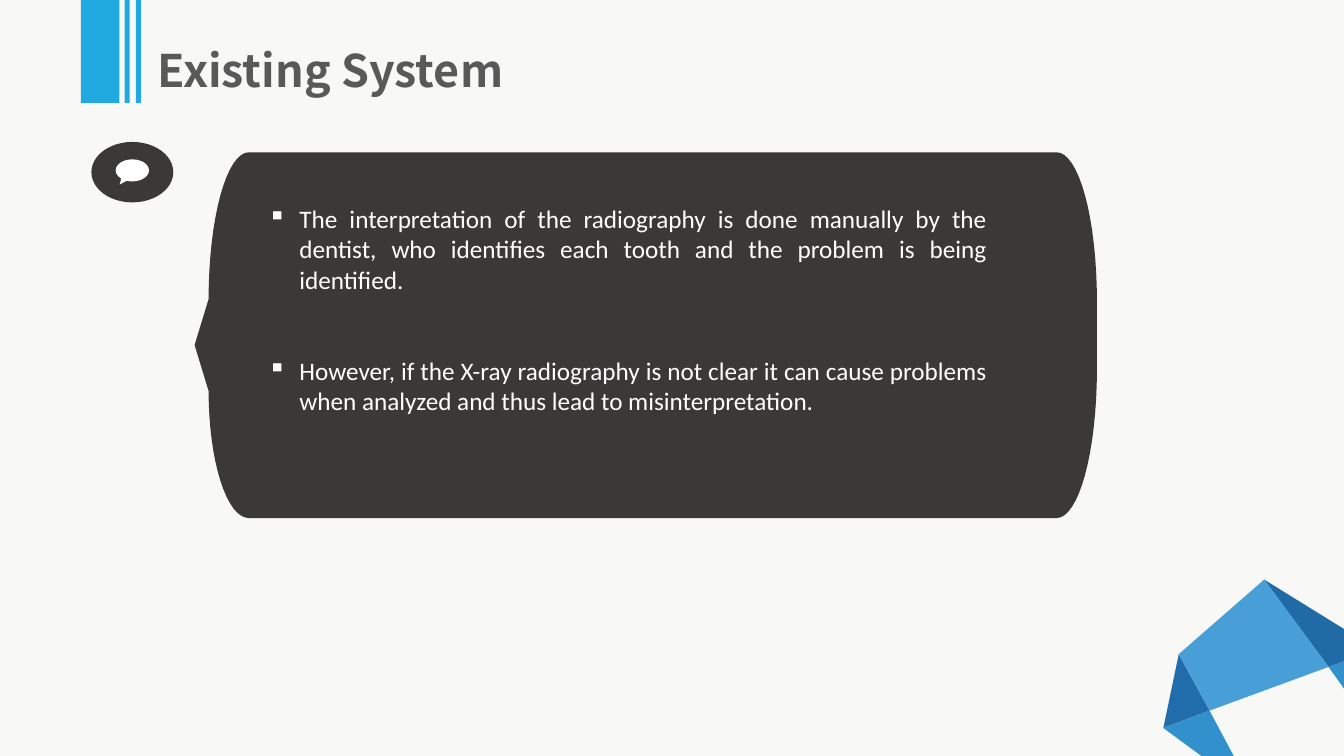
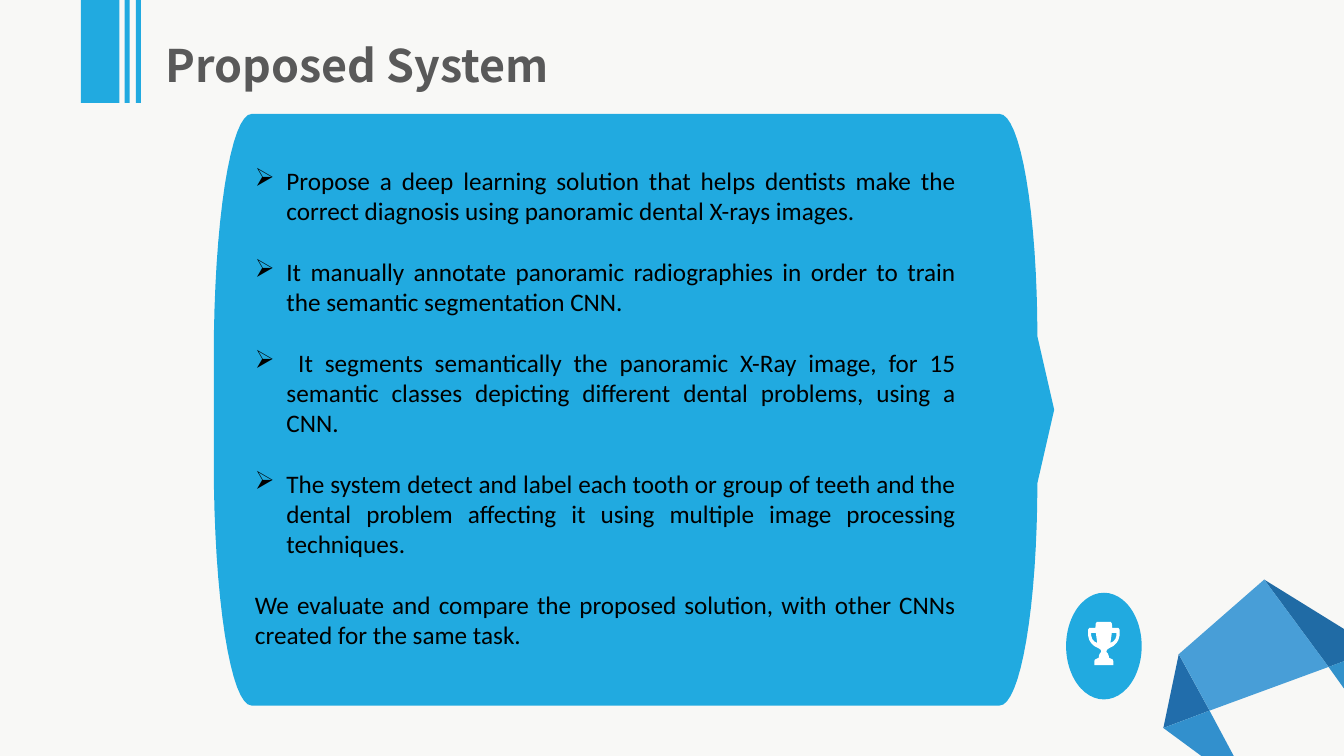
from math import cos, pi, sin

from lxml import etree
from pptx import Presentation
from pptx.dml.color import RGBColor
from pptx.enum.shapes import MSO_SHAPE
from pptx.enum.text import PP_ALIGN
from pptx.oxml.ns import qn
from pptx.util import Pt

RECT, OVAL = MSO_SHAPE.RECTANGLE, MSO_SHAPE.OVAL
BUBBLE = MSO_SHAPE.OVAL_CALLOUT
JUSTIFY = PP_ALIGN.JUSTIFY

PAPER = RGBColor(0xF8, 0xF8, 0xF6)
BLUE = RGBColor(0x21, 0xAA, 0xE0)
DARK = RGBColor(0x3B, 0x38, 0x38)
GREY = RGBColor(0x59, 0x59, 0x59)
WHITE = RGBColor(0xFF, 0xFF, 0xFF)
BLACK = RGBColor(0, 0, 0)

TITLE = {"name": "Noto Sans CJK SC", "size": Pt(32), "bold": True}
BODY = {"name": "Calibri", "size": Pt(18)}
HANG = Pt(22.5)

BARS = [(57.8, 27.4), (89, 3.6), (97, 3.6)]
BAR_H = 73.5

# Corners of the folded ribbon, then its facets
TIP, LEFT, FOLD = (831, 520), (842, 467.3), (864, 507.6)
PEAK, CROSS = (903, 414), (949, 476.4)
EDGE_A, EDGE_B, EDGE_C = (960, 449.3), (960, 472.3), (960, 491.8)
FOOT_A, FOOT_B = (881.3, 540), (858.2, 540)
FACETS = [
    (RGBColor(0x21, 0x6D, 0xAB), [TIP, LEFT, FOLD]),
    (RGBColor(0x20, 0x6B, 0xA5), [CROSS, PEAK, EDGE_A, EDGE_B]),
    (RGBColor(0x32, 0x90, 0xCD), [FOOT_A, FOOT_B, TIP, FOLD]),
    (RGBColor(0x48, 0x9E, 0xD7), [FOLD, LEFT, PEAK, CROSS]),
    (RGBColor(0x32, 0x91, 0xCA), [EDGE_C, CROSS, EDGE_B]),
]

# Right half of the trophy and its handle hole, in points from the top middle
CUP = [(5, 0), (5.8, 1.4), (6, 4.3), (10.4, 4.3), (11.2, 5.6), (11.2, 10),
       (10.4, 13), (9, 15.2), (6.8, 17.3), (4, 18.7), (2.2, 20), (1.8, 21.4),
       (2.9, 22.7), (3.6, 24.5), (3.6, 25.6), (5, 26.3), (6.4, 27),
       (6.8, 28.2), (6.8, 31)]
HOLE = [(5.7, 7.9), (9, 7.9), (9, 10), (8.3, 12.2), (6.8, 14), (4.7, 15.1)]


def paint(shape, color):
    shape.shadow.inherit = False
    shape.fill.solid()
    shape.fill.fore_color.rgb = color
    shape.line.fill.background()
    return shape


def add_form(slide, kind, box, color):
    return paint(slide.shapes.add_shape(kind, *map(Pt, box)), color)


def add_poly(slide, color, *loops):
    """Fill closed outlines given in points; later loops cut holes."""
    loops = [[(Pt(x), Pt(y)) for x, y in loop] for loop in loops]
    pen = slide.shapes.build_freeform(*loops[0][0])
    pen.add_line_segments(loops[0][1:])
    for loop in loops[1:]:
        pen.move_to(*loop[0])
        pen.add_line_segments(loop[1:])
    paint(pen.convert_to_shape(), color)


def add_text(slide, box):
    frame = slide.shapes.add_textbox(*map(Pt, box)).text_frame
    frame.word_wrap = True
    return frame


def add_run(para, text, style, color):
    run = para.add_run()
    run.text = text
    for key, value in style.items():
        setattr(run.font, key, value)
    run.font.color.rgb = color


def add_title(slide, box, text, lead):
    frame = add_text(slide, box)
    for side in ("left", "top", "right", "bottom"):
        setattr(frame, f"margin_{side}", 0)
    para = frame.paragraphs[0]
    para.line_spacing = lead
    add_run(para, text, TITLE, GREY)


def add_body(slide, box, items, color, gap):
    """Write justified paragraphs from (bullet, text) pairs."""
    frame = add_text(slide, box)
    for i, (mark, text) in enumerate(items):
        para = frame.add_paragraph() if i else frame.paragraphs[0]
        if mark:
            props = para._p.get_or_add_pPr()
            props.set("marL", str(HANG))
            props.set("indent", str(-HANG))
            etree.SubElement(props, qn("a:buChar")).set("char", mark)
        para.alignment = JUSTIFY
        if i:
            para.space_before = Pt(gap)
        add_run(para, text, BODY, color)


def arc(x, y, rx, ry, start):
    """Trace a quarter ellipse clockwise from an angle in quarter turns."""
    turns = [(start + k / 16) * pi / 2 for k in range(17)]
    return [(x + rx * cos(t), y + ry * sin(t)) for t in turns]


def add_panel(slide, box, color, bend, tip, flip=False):
    """Draw a bowed box with a tip (middle, half, depth) on its right side,
    or on its left side when flipped."""
    left, top, wide, high = box
    rx, ry = bend
    mid, half, depth = tip
    above, below = mid - half, high - mid - half
    loop = (arc(rx, ry, rx, ry, 2)
            + arc(wide - rx, above, rx, above, 3)
            + [(wide + depth, mid)]
            + arc(wide - rx, high - below, rx, below, 0)
            + arc(rx, high - ry, rx, ry, 1))
    add_poly(slide, color,
             [(left + (wide - x if flip else x), top + y) for x, y in loop])


def add_chat(slide, box):
    left, top, wide, high = box
    add_form(slide, OVAL, box, DARK)
    w, h = 23.8, 15.8
    talk = add_form(slide, BUBBLE,
                    (left + (wide - w) / 2, top + 12.4, w, h), WHITE)
    talk.adjustments[0], talk.adjustments[1] = -0.38, 0.64


def add_cup(slide, box):
    left, top, wide, high = box
    add_form(slide, OVAL, box, BLUE)
    mid, head = left + wide / 2, top + 20.8

    def put(points, side=1):
        return [(mid + side * x, head + y) for x, y in points]

    add_poly(slide, WHITE, put(CUP) + put(CUP[::-1], -1),
             put(HOLE), put(HOLE, -1))


def add_base(deck):
    slide = deck.slides.add_slide(deck.slide_layouts[6])
    fill = slide.background.fill
    fill.solid()
    fill.fore_color.rgb = PAPER
    for color, loop in FACETS:
        add_poly(slide, color, loop)
    for x, wide in BARS:
        add_form(slide, RECT, (x, 0, wide, BAR_H), BLUE)
    return slide


def add_old(deck):
    slide = add_base(deck)
    add_chat(slide, (65.3, 101.4, 58.5, 43.2))
    add_panel(slide, (149, 108.8, 634.5, 261.3), DARK,
              (28.8, 106), (137.7, 32.8, 10), flip=True)
    add_title(slide, (112.5, 30.2, 834, 124), "Existing System", 1)
    add_body(slide, (184.3, 141.8, 527.8, 160), [
        ("▪", "The interpretation of the radiography is done manually by the "
              "dentist, who identifies each tooth and the problem is being "
              "identified."),
        ("▪", "However, if the X-ray radiography is not clear it can cause "
              "problems when analyzed and thus lead to misinterpretation."),
    ], WHITE, 43.5)


def add_new(deck):
    slide = add_base(deck)
    add_cup(slide, (761.5, 423.4, 54, 76.2))
    add_panel(slide, (152.7, 81.4, 588.3, 422.6), BLUE,
              (27, 173), (211.3, 52.5, 12))
    add_title(slide, (118.2, 19.4, 317.5, 42.5), "Proposed System", 1.2)
    add_body(slide, (175, 114.5, 514.8, 356.4), [
        ("➢", "Propose a deep learning solution that helps dentists make the "
              "correct diagnosis using panoramic dental X-rays images."),
        ("➢", "It manually annotate panoramic radiographies in order to train "
              "the semantic segmentation CNN."),
        ("➢", " It segments semantically the panoramic X-Ray image, for 15 "
              "semantic classes depicting different dental problems, using a "
              "CNN."),
        ("➢", "The system detect and label each tooth or group of teeth and "
              "the dental problem affecting it using multiple image "
              "processing techniques."),
        ("", "We evaluate and compare the proposed solution, with other CNNs "
             "created for the same task."),
    ], BLACK, 21.7)


def main():
    deck = Presentation()
    deck.slide_width, deck.slide_height = Pt(960), Pt(540)
    add_old(deck)
    add_new(deck)
    deck.save("out.pptx")


if __name__ == "__main__":
    main()
